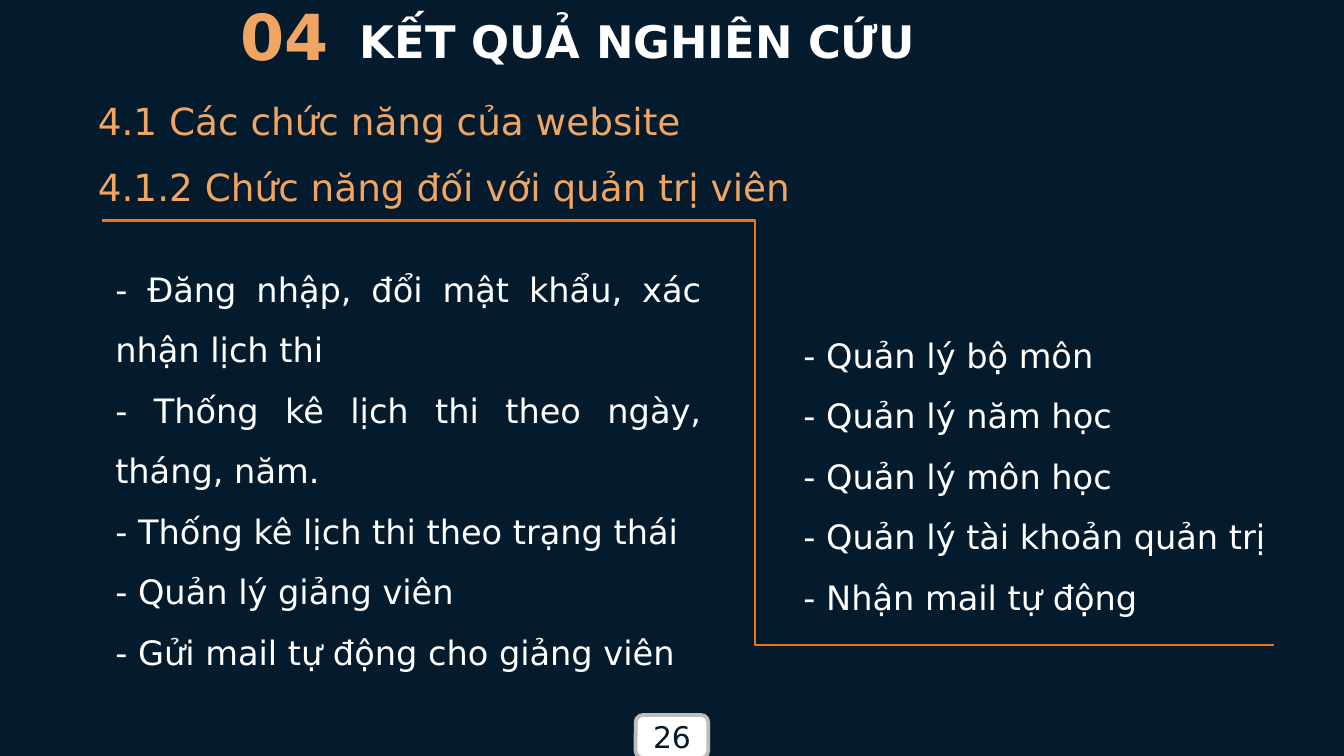
"""Build the slide that lists the website functions for administrators."""
from dataclasses import dataclass

import pptx
import pptx.dml.color
import pptx.enum.shapes
import pptx.enum.text
import pptx.oxml.ns
import pptx.util
from lxml import etree

Inches = pptx.util.Inches
Pt = pptx.util.Pt
Align = pptx.enum.text.PP_ALIGN
Anchor = pptx.enum.text.MSO_ANCHOR

FONT = "DejaVu Sans"
NAVY, WHITE, APRICOT = "031B2D", "FFFFFF", "F0A563"
ORANGE, GREY = "E87816", "BDBDBD"


@dataclass
class TextBlock:
    left: float
    top: float
    width: float
    height: float
    lines: list[str]
    size: float
    color: str
    bold: bool = False
    spacing: float = 1.0
    align: Align = Align.LEFT
    inset: float = 0.05


def rgb(value: str) -> pptx.dml.color.RGBColor:
    return pptx.dml.color.RGBColor.from_string(value)


def write_text(frame, block: TextBlock) -> None:
    frame.word_wrap = True
    frame.margin_top = frame.margin_bottom = Inches(block.inset)
    frame.text = "\n".join(block.lines)
    for paragraph in frame.paragraphs:
        paragraph.alignment = block.align
        paragraph.line_spacing = block.spacing
        for run in paragraph.runs:
            run.font.name = FONT
            run.font.size = Pt(block.size)
            run.font.bold = block.bold
            run.font.color.rgb = rgb(block.color)


def bounds(block: TextBlock) -> list[int]:
    return [Inches(n) for n in (block.left, block.top, block.width, block.height)]


def draw_text(slide, block: TextBlock) -> None:
    write_text(slide.shapes.add_textbox(*bounds(block)).text_frame, block)


def draw_divider(slide, start: tuple[float, float], end: tuple[float, float], bend: float) -> None:
    qn = pptx.oxml.ns.qn
    divider = slide.shapes.add_connector(
        pptx.enum.shapes.MSO_CONNECTOR.ELBOW, *(Inches(n) for n in start + end))
    divider.line.color.rgb = rgb(ORANGE)
    divider.line.width = Pt(1.25)
    properties = divider._element.spPr
    guides = properties.find(qn("a:prstGeom")).find(qn("a:avLst"))
    share = round((bend - start[0]) / (end[0] - start[0]) * 100000)
    etree.SubElement(guides, qn("a:gd"), name="adj1", fmla=f"val {share}")
    etree.SubElement(properties, qn("a:effectLst"))


def draw_page_number(slide, block: TextBlock) -> None:
    badge = slide.shapes.add_shape(
        pptx.enum.shapes.MSO_SHAPE.ROUNDED_RECTANGLE, *bounds(block))
    badge.shadow.inherit = False
    badge.fill.solid()
    badge.fill.fore_color.rgb = rgb(WHITE)
    badge.line.color.rgb = rgb(GREY)
    badge.line.width = Pt(2)
    badge.text_frame.vertical_anchor = Anchor.MIDDLE
    write_text(badge.text_frame, block)


TEXTS = [
    TextBlock(1.69, -0.07, 1.03, 0.67, ["04"], 34, APRICOT, bold=True),
    TextBlock(2.58, 0.05, 6.24, 0.5, ["KẾT QUẢ NGHIÊN CỨU"], 24, WHITE, bold=True),
    TextBlock(0.63, 0.58, 6.24, 0.5, ["4.1 Các chức năng của website"],
              20, APRICOT, spacing=1.15, inset=0.1),
    TextBlock(0.63, 1.07, 6.24, 0.5, ["4.1.2 Chức năng đối với quản trị viên"],
              20, APRICOT, spacing=1.15, inset=0.1),
    TextBlock(0.76, 1.8, 4.56, 3.22, [
        "- Đăng nhập, đổi mật khẩu, xác nhận lịch thi",
        "- Thống kê lịch thi theo ngày, tháng, năm.",
        "- Thống kê lịch thi theo trạng thái",
        "- Quản lý giảng viên",
        "- Gửi mail tự động cho giảng viên",
    ], 18, WHITE, spacing=1.5, align=Align.JUSTIFY),
    TextBlock(5.88, 2.29, 5.3, 2.31, [
        "- Quản lý bộ môn",
        "- Quản lý năm học",
        "- Quản lý môn học",
        "- Quản lý tài khoản quản trị",
        "- Nhận mail tự động",
    ], 18, WHITE, spacing=1.5),
]
PAGE_NUMBER = TextBlock(4.73, 5.32, 0.54, 0.32, ["26"], 16, NAVY, align=Align.CENTER)


def main() -> None:
    deck = pptx.Presentation()
    deck.slide_width, deck.slide_height = Inches(10), Inches(10 * 9 / 16)
    slide = deck.slides.add_slide(deck.slide_layouts[6])
    slide.background.fill.solid()
    slide.background.fill.fore_color.rgb = rgb(NAVY)
    for block in TEXTS:
        draw_text(slide, block)
    draw_divider(slide, (0.76, 1.64), (9.48, 4.8), bend=5.62)
    draw_page_number(slide, PAGE_NUMBER)
    deck.save("out.pptx")


if __name__ == "__main__":
    main()
